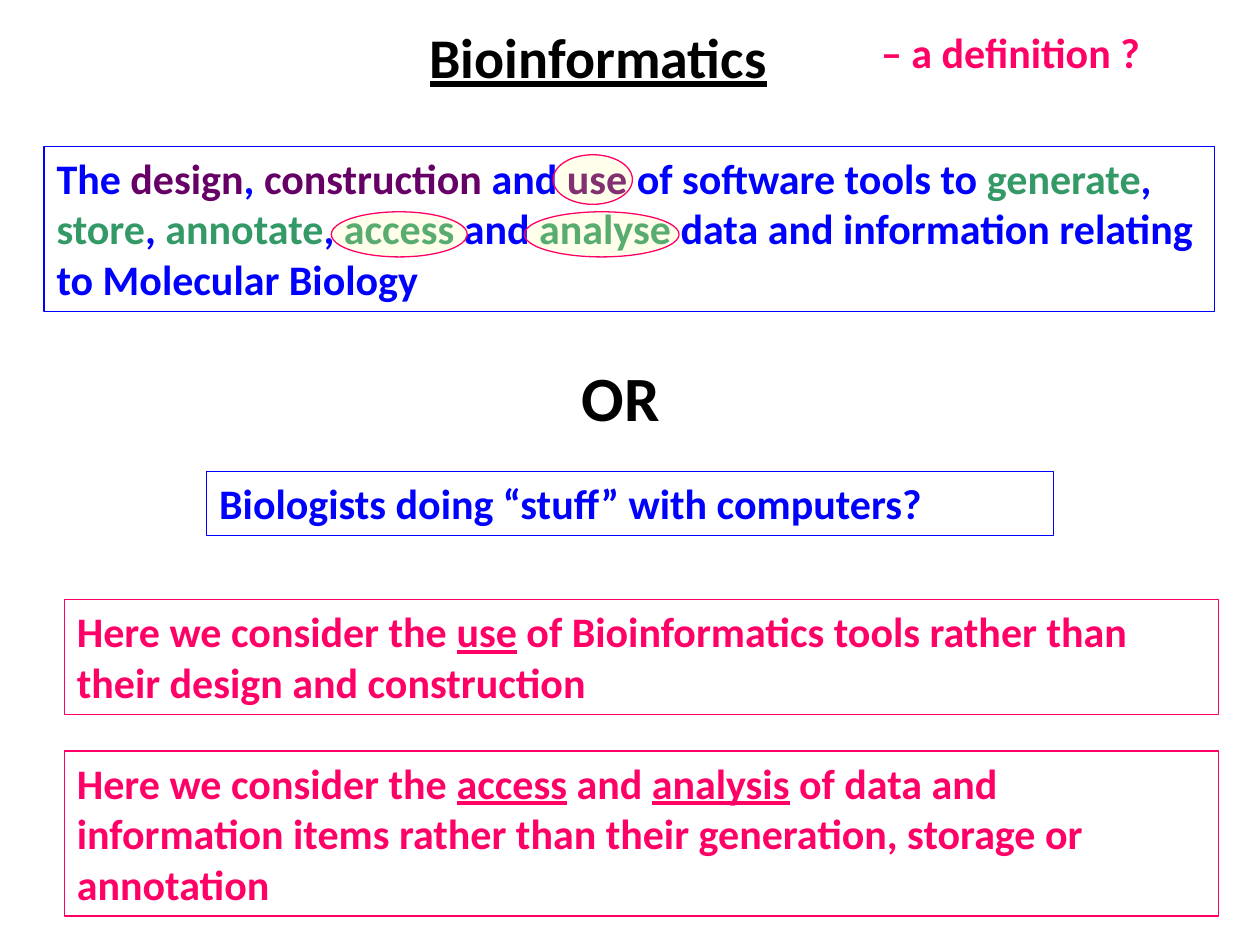
import pptx
import pptx.util
import pptx.dml.color
import pptx.enum.shapes
from lxml import etree
from pptx.util import Cm, Pt

COLORS = {"blue": "0000FF", "pink": "FF0066", "purple": "660066",
          "green": "339966", "black": "000000", "yellow": "FFFF99"}


def rgb(name):
    return pptx.dml.color.RGBColor.from_string(COLORS[name])


class Slide:
    font = {"name": "Calibri", "bold": True}
    line_width = Pt(0.75)

    def __init__(self, prs):
        self.s = prs.slides.add_slide(prs.slide_layouts[6])

    def outline(self, sp, color):
        sp.line.color.rgb = rgb(color)
        sp.line.width = self.line_width

    def text(self, at, runs, color, size=24, border=False):
        """Runs are plain strings or (string, format) pairs."""
        sp = self.s.shapes.add_textbox(*map(Cm, at))
        tf = sp.text_frame
        tf.word_wrap = True
        p = tf.paragraphs[0]
        for run in runs:
            words, extra = (run, {}) if isinstance(run, str) else run
            style = {**self.font, "size": Pt(size), "color": color, **extra}
            r = p.add_run()
            r.text = words
            r.font.color.rgb = rgb(style.pop("color"))
            for key, value in style.items():
                setattr(r.font, key, value)
        if border:
            self.outline(sp, color)

    def ring(self, at, opacity=19):
        oval = pptx.enum.shapes.MSO_SHAPE.OVAL
        sp = self.s.shapes.add_shape(oval, *map(Cm, at))
        sp.shadow.inherit = False
        sp.fill.solid()
        sp.fill.fore_color.rgb = rgb("yellow")
        tag = pptx.oxml.ns.qn
        clr = sp.fill._xPr.find(".//" + tag("a:srgbClr"))
        etree.SubElement(clr, tag("a:alpha"), val=str(opacity * 1000))
        self.outline(sp, "pink")


prs = pptx.Presentation()
prs.slide_width, prs.slide_height = Cm(25.4), Cm(19.05)
slide = Slide(prs)

purple, green = {"color": "purple"}, {"color": "green"}
under = {"underline": True}

# Heading
slide.text((8.41, 0.33, 8.41, 1.6), [("Bioinformatics", under)], "black", 32)
slide.text((17.32, 0.41, 6.71, 1.27), [" – a definition ?"], "pink")

# Two definitions
slide.text((0.89, 2.95, 23.6, 3.33), [
    "The ", ("design", purple), ", ", ("construction", purple), " and ",
    ("use", purple), " of software tools to ", ("generate", green), ", ",
    ("store", green), ", ", ("annotate", green), ", ", ("access", green),
    " and ", ("analyse", green),
    " data and information relating to Molecular Biology"], "blue", border=True)
slide.text((11.48, 7.11, 2.41, 1.78), ["OR"], "black", 36)
slide.text((4.17, 9.5, 17.07, 1.3),
           ["Biologists doing “stuff” with computers?"], "blue", border=True)

# Scope of the course
slide.text((1.3, 12.09, 23.27, 2.31), [
    "Here we consider the ", ("use", under),
    " of Bioinformatics tools rather than their design and construction"],
    "pink", border=True)
slide.text((1.3, 15.14, 23.27, 3.33), [
    "Here we consider the ", ("access", under), " and ", ("analysis", under),
    " of data and information items rather than their generation, "
    "storage or annotation"], "pink", border=True)

# Rings around use, access and analyse
for at in ((11.15, 3.12, 1.6, 1), (6.68, 4.27, 2.74, 0.91),
           (10.57, 4.27, 3.12, 0.91)):
    slide.ring(at)

prs.save("out.pptx")
